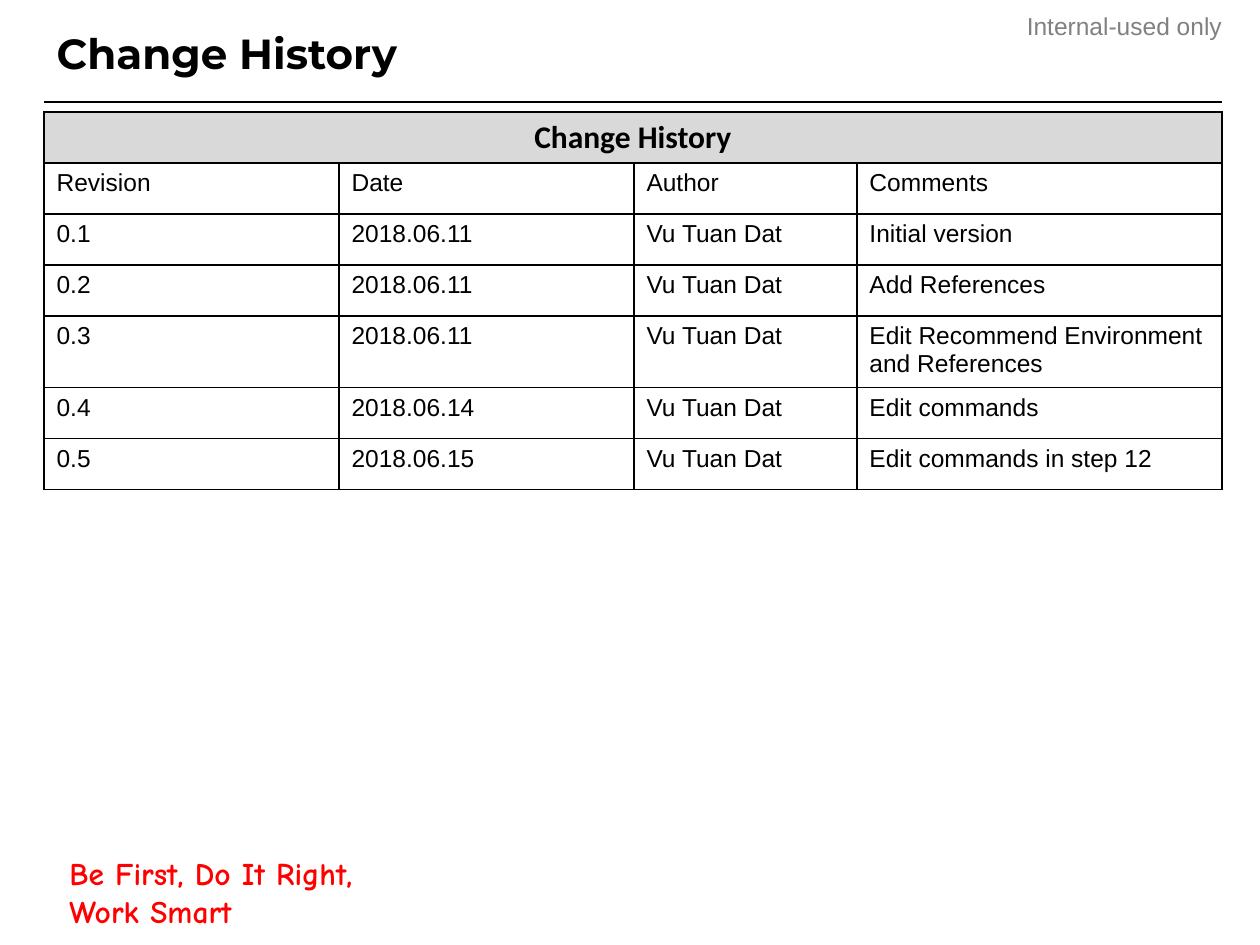
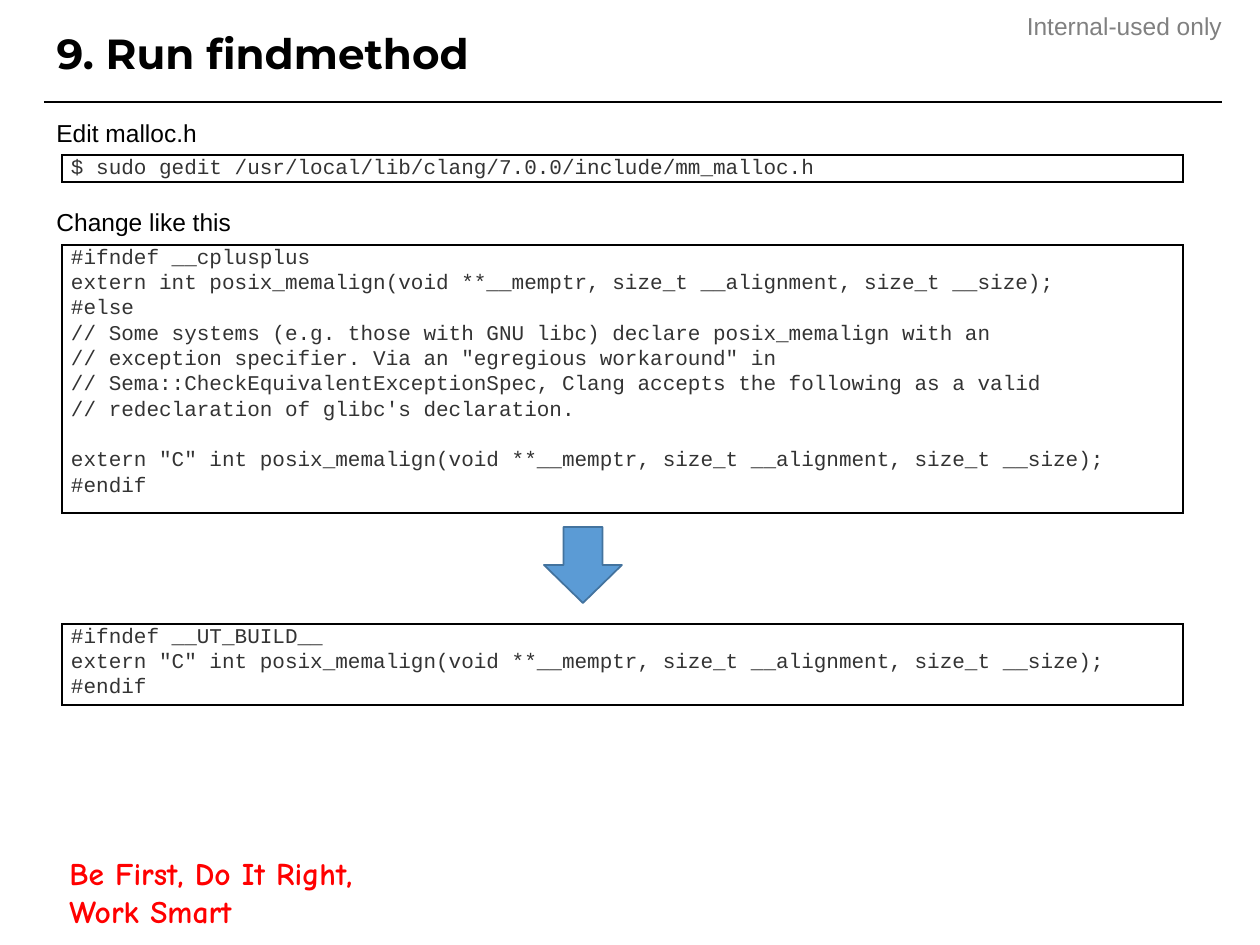
from dataclasses import dataclass

from lxml import etree
from pptx import Presentation
from pptx.dml.color import RGBColor
from pptx.enum.shapes import MSO_CONNECTOR, MSO_SHAPE
from pptx.enum.text import MSO_ANCHOR, MSO_AUTO_SIZE, PP_ALIGN
from pptx.oxml.ns import qn
from pptx.util import Inches, Pt

LEFT, CENTER, RIGHT = PP_ALIGN.LEFT, PP_ALIGN.CENTER, PP_ALIGN.RIGHT
TOP, MIDDLE = MSO_ANCHOR.TOP, MSO_ANCHOR.MIDDLE
NO_FIT = MSO_AUTO_SIZE.NONE
STRAIGHT = MSO_CONNECTOR.STRAIGHT
DOWN_ARROW = MSO_SHAPE.DOWN_ARROW
TITLE_ONLY = 5
PX_PER_INCH = 126


@dataclass(frozen=True)
class Style:
    font: str
    size: int
    color: str
    bold: bool = False


@dataclass(frozen=True)
class Theme:
    title: Style = Style("Montserrat", 24, "000000", True)
    notice: Style = Style("Arial", 14, "808080")
    motto: Style = Style("Comic Neue", 18, "FF0000", True)
    body: Style = Style("Arial", 14, "000000")
    table_head: Style = Style("Calibri", 18, "000000", True)
    code: Style = Style("Courier New", 12, "333333")
    line: str = "000000"
    head_fill: str = "D9D9D9"
    arrow_fill: str = "5B9BD5"
    arrow_line: str = "43739E"
    code_spacing: float = 1.07
    code_gap: float = 14.5  # height of one skipped code line, in points


THEME = Theme()

# Boxes are left, top, width, height in px
TITLE_BOX = (44, 10, 1178, 92)
NOTICE_BOX = (1004, 11, 218, 30)
MOTTO_BOX = (57, 877, 338, 30)
CONTENT_BOX = (44, 112, 1178, 730)

HISTORY_COLUMNS = (295, 295, 223, 365)
HISTORY_ROW = 51
HISTORY = [
    ("Revision", "Date", "Author", "Comments"),
    ("0.1", "2018.06.11", "Vu Tuan Dat", "Initial version"),
    ("0.2", "2018.06.11", "Vu Tuan Dat", "Add References"),
    ("0.3", "2018.06.11", "Vu Tuan Dat", "Edit Recommend Environment and References"),
    ("0.4", "2018.06.14", "Vu Tuan Dat", "Edit commands"),
    ("0.5", "2018.06.15", "Vu Tuan Dat", "Edit commands in step 12"),
]

EDIT_COMMAND = "$ sudo gedit /usr/local/lib/clang/7.0.0/include/mm_malloc.h"
MEMALIGN = "int posix_memalign(void **__memptr, size_t __alignment, size_t __size);"
CODE_BEFORE = f"""#ifndef __cplusplus
extern {MEMALIGN}
#else
// Some systems (e.g. those with GNU libc) declare posix_memalign with an
// exception specifier. Via an "egregious workaround" in
// Sema::CheckEquivalentExceptionSpec, Clang accepts the following as a valid
// redeclaration of glibc's declaration.

extern "C" {MEMALIGN}
#endif"""
CODE_AFTER = f"""#ifndef __UT_BUILD__
extern "C" {MEMALIGN}
#endif"""


def px(length):
    return round(length * Inches(1) / PX_PER_INCH)


def place(box):
    return [px(length) for length in box]


def rgb(color):
    return RGBColor.from_string(color)


def write(para, text, style, align=LEFT):
    para.text = text
    para.alignment = align
    para.font.name = style.font
    para.font.size = Pt(style.size)
    para.font.bold = style.bold
    para.font.color.rgb = rgb(style.color)


def add_line_xml(parent, tag, color, points):
    line = etree.SubElement(parent, qn(tag), w=str(Pt(points)))
    fill = etree.SubElement(line, qn("a:solidFill"))
    etree.SubElement(fill, qn("a:srgbClr"), val=color)
    return line


def add_text(page, box, text, style, align=LEFT, anchor=TOP, inset=True):
    frame = page.shapes.add_textbox(*place(box)).text_frame
    frame.word_wrap = True
    frame.vertical_anchor = anchor
    if not inset:
        frame.margin_left = frame.margin_right = 0
        frame.margin_top = frame.margin_bottom = 0
    write(frame.paragraphs[0], text, style, align)
    return frame.paragraphs[0]


def add_grid(page, box, columns, rows):
    """Add a plain table with thin borders around every cell."""
    left, top, width, _ = box
    area = (left, top, width, sum(rows))
    table = page.shapes.add_table(len(rows), len(columns), *place(area)).table
    table.first_row = table.horz_banding = False
    for column, length in zip(table.columns, columns):
        column.width = px(length)
    for row, length in zip(table.rows, rows):
        row.height = px(length)
    for cell in table.iter_cells():
        properties = cell._tc.get_or_add_tcPr()
        for side in ("a:lnL", "a:lnR", "a:lnT", "a:lnB"):
            add_line_xml(properties, side, THEME.line, 1)
        cell.fill.background()
    return table


# Parts on every slide
def add_page(deck, title):
    page = deck.slides.add_slide(deck.slide_layouts[TITLE_ONLY])

    add_text(page, NOTICE_BOX, "Internal-used only", THEME.notice, RIGHT, inset=False)

    motto = add_text(page, MOTTO_BOX, "Be First, Do It Right, Work Smart",
                     THEME.motto, anchor=MIDDLE)
    span = motto.runs[0]
    span.font.color.rgb = rgb(THEME.motto.color)
    properties = span.font._element
    properties.insert(0, add_line_xml(properties, "a:ln", THEME.motto.color, 0.75))

    left, top, width, height = TITLE_BOX
    rule = page.shapes.add_connector(
        STRAIGHT, px(left), px(top + height), px(left + width), px(top + height))
    rule.line.color.rgb = rgb(THEME.line)
    rule.line.width = Pt(1.5)
    etree.SubElement(rule._element.spPr, qn("a:effectLst"))

    heading = page.shapes.title
    heading.left, heading.top, heading.width, heading.height = place(TITLE_BOX)
    frame = heading.text_frame
    frame.auto_size = NO_FIT
    frame.vertical_anchor = MIDDLE
    write(frame.paragraphs[0], title, THEME.title)
    frame.paragraphs[0].line_spacing = 0.9
    return page


# Revision table
def add_history(page, box):
    table = add_grid(page, box, HISTORY_COLUMNS, [HISTORY_ROW] * (len(HISTORY) + 1))
    header = table.cell(0, 0)
    header.merge(table.cell(0, len(HISTORY_COLUMNS) - 1))
    header.fill.solid()
    header.fill.fore_color.rgb = rgb(THEME.head_fill)
    write(header.text_frame.paragraphs[0], "Change History", THEME.table_head, CENTER)
    for row, entry in enumerate(HISTORY, start=1):
        for column, text in enumerate(entry):
            write(table.cell(row, column).text_frame.paragraphs[0], text, THEME.body)


# Framed code; an empty line becomes space above the next one
def add_code(page, box, code):
    cell = add_grid(page, box, [box[2]], [box[3]]).cell(0, 0)
    cell.margin_left = cell.margin_right = px(9)
    cell.margin_top = cell.margin_bottom = 0
    frame = cell.text_frame
    para, gap = frame.paragraphs[0], 0
    for number, text in enumerate(code.splitlines()):
        if not text:
            gap = THEME.code_gap
            continue
        if number:
            para = frame.add_paragraph()
        write(para, text, THEME.code)
        para.line_spacing = THEME.code_spacing
        para.space_before = Pt(gap)
        gap = 0


def add_arrow(page, box):
    arrow = page.shapes.add_shape(DOWN_ARROW, *place(box))
    arrow.shadow.inherit = False
    arrow.fill.solid()
    arrow.fill.fore_color.rgb = rgb(THEME.arrow_fill)
    arrow.line.color.rgb = rgb(THEME.arrow_line)
    arrow.line.width = Pt(1)


# Labelled steps with code before and after the change
def add_code_steps(page, box):
    left, top, width, _ = box
    code_left, code_width = left + 18, 1121
    for label, offset in (("Edit malloc.h", 0), ("Change like this", 89)):
        add_text(page, (left, top + offset, width, 40), label, THEME.body)
    for code, offset, height in (
        (EDIT_COMMAND, 43, 26),
        (CODE_BEFORE, 133, 254),
        (CODE_AFTER, 512, 76),
    ):
        add_code(page, (code_left, top + offset, code_width, height), code)
    add_arrow(page, (left + 500, top + 415, 78, 76))


def main():
    deck = Presentation()
    deck.slide_width, deck.slide_height = Inches(10), Inches(7.5)
    add_history(add_page(deck, "Change History"), CONTENT_BOX)
    add_code_steps(add_page(deck, "9. Run findmethod"), CONTENT_BOX)
    deck.save("out.pptx")


if __name__ == "__main__":
    main()
